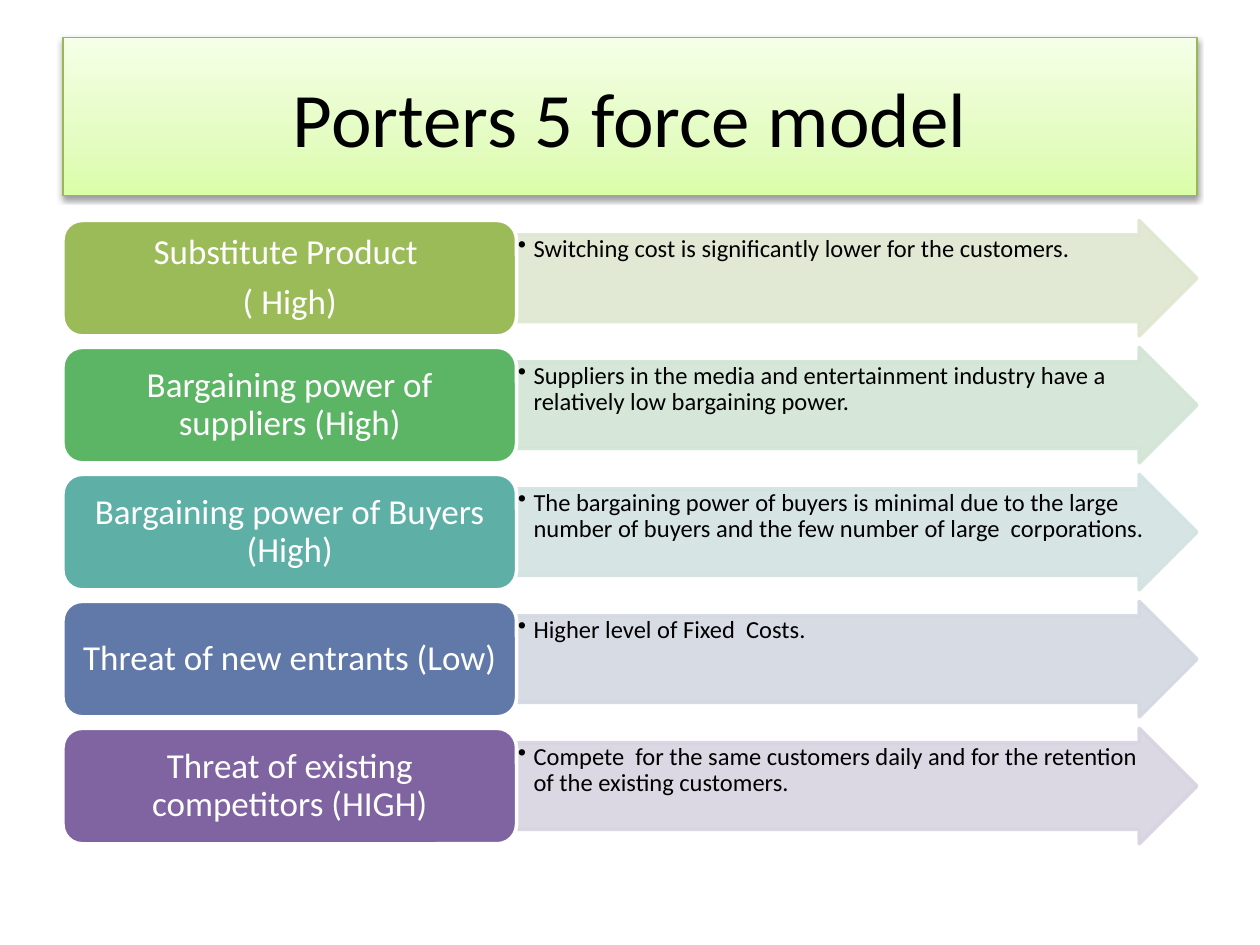
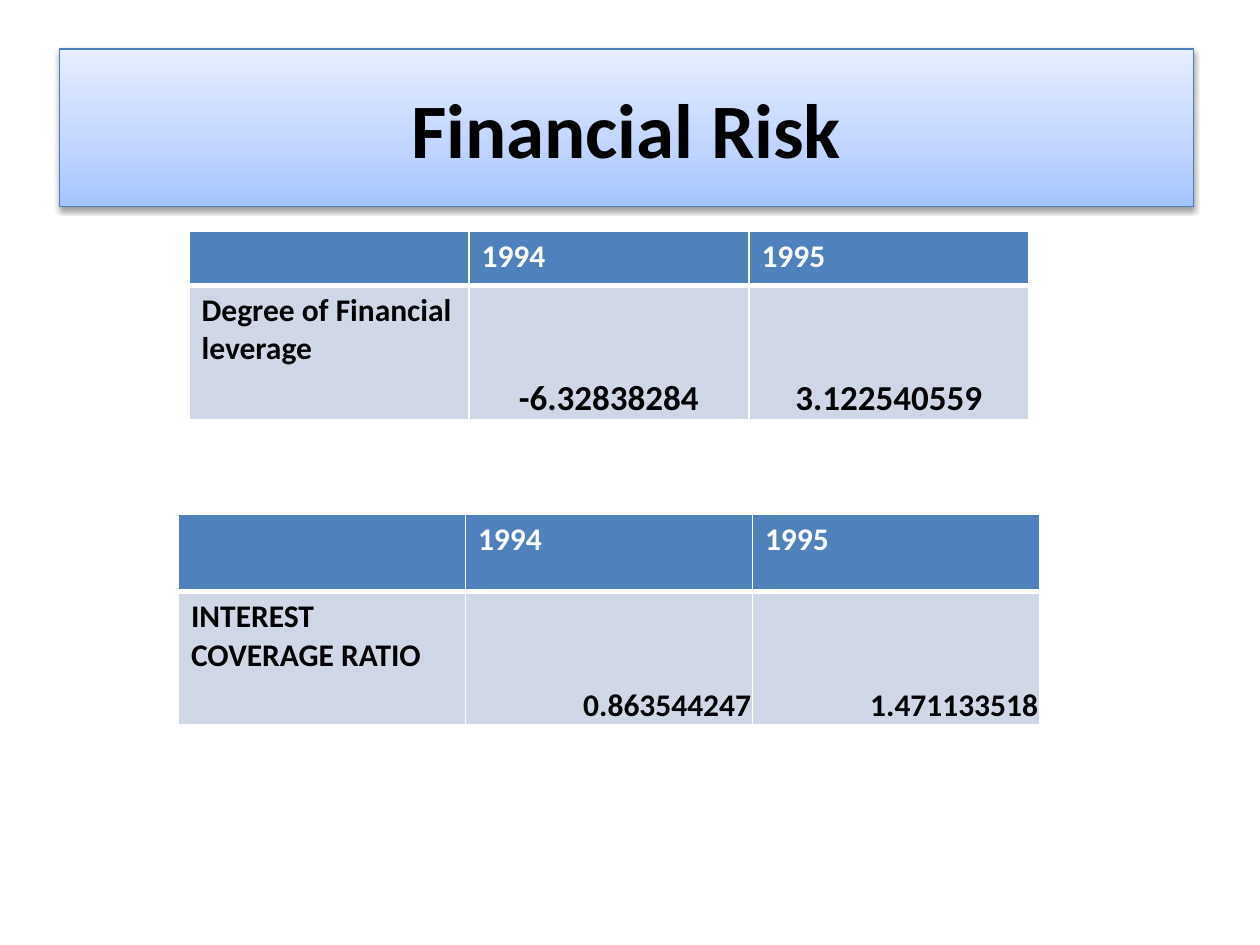
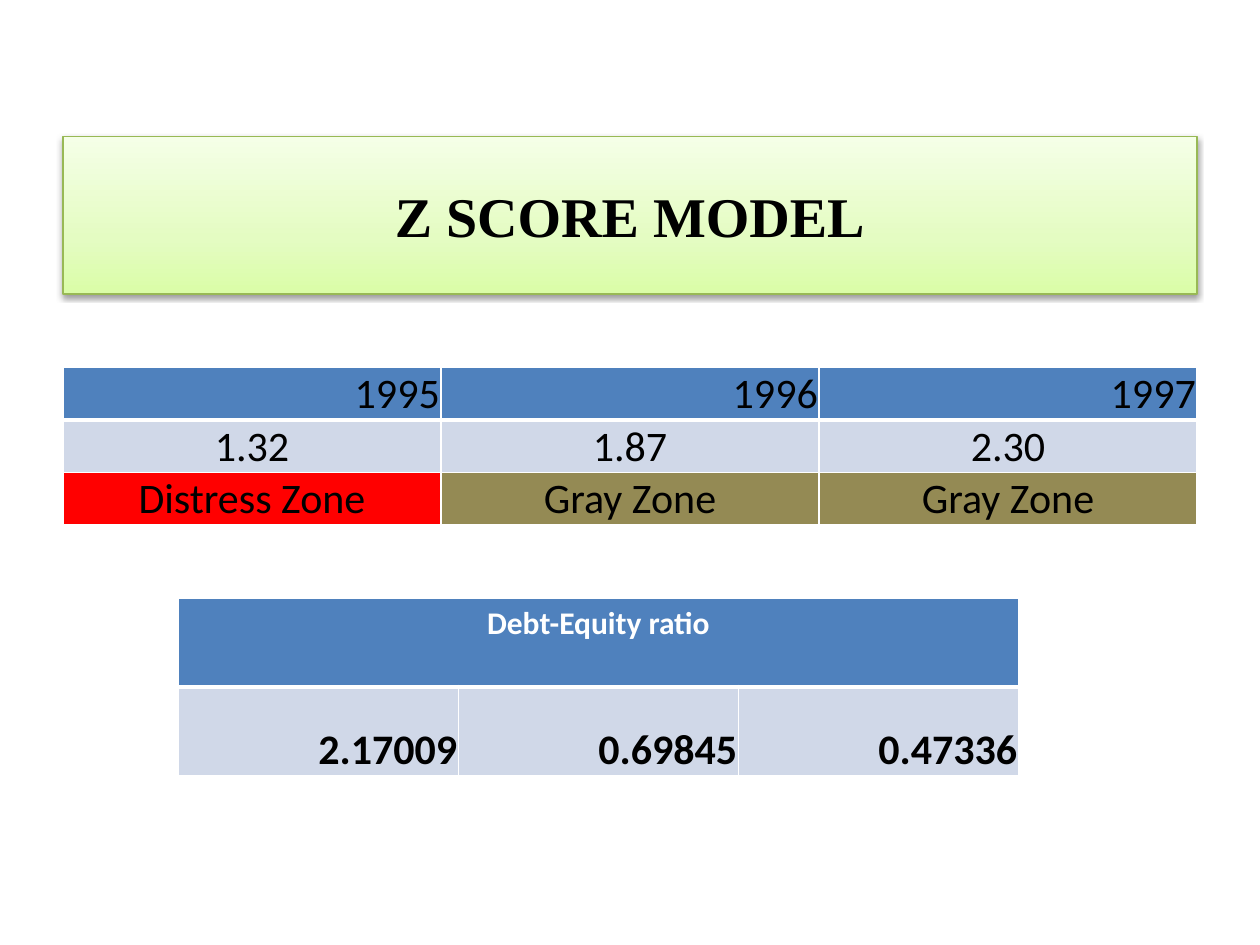
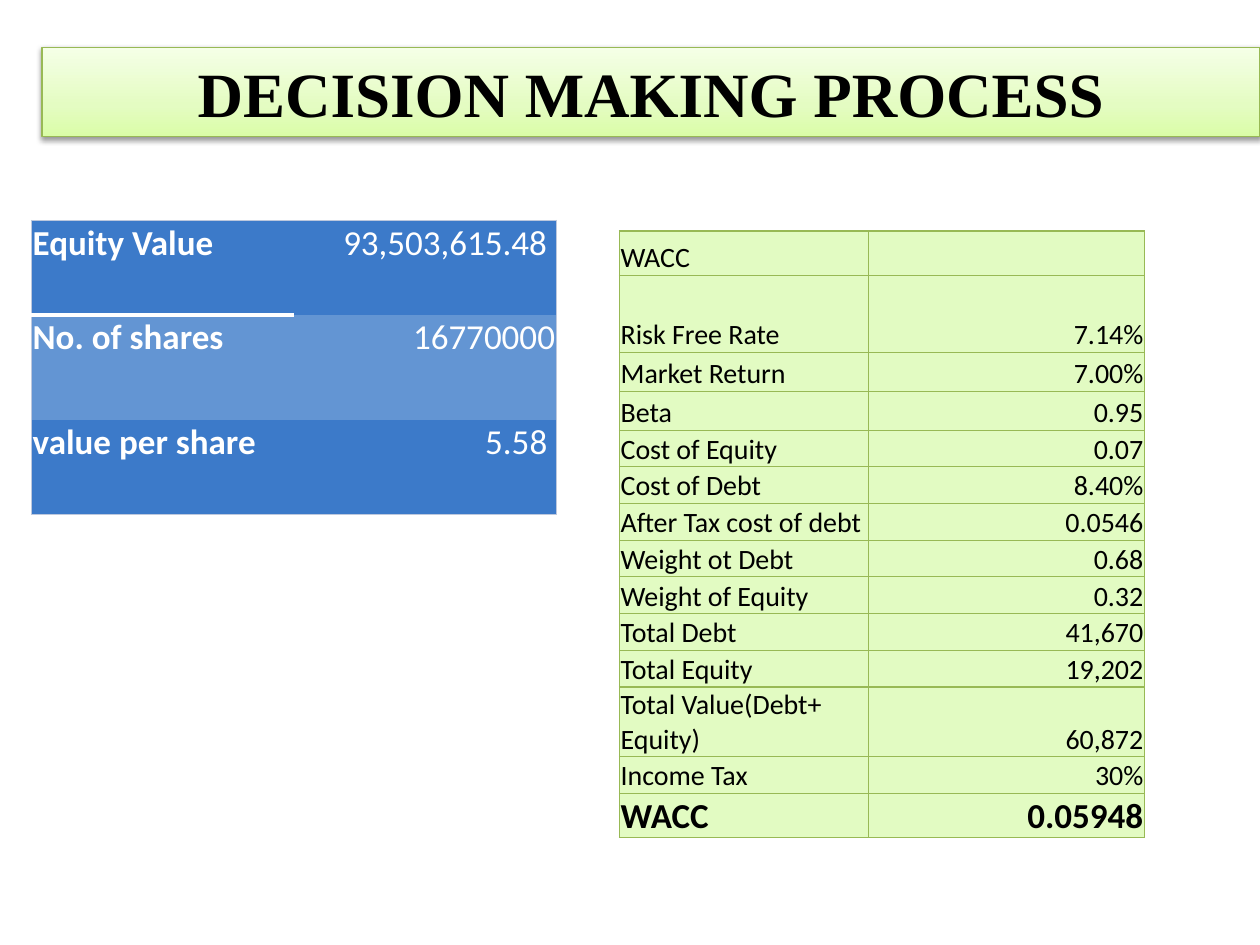
from dataclasses import dataclass, field

from lxml.etree import SubElement
from pptx import Presentation
from pptx.dml.color import RGBColor
from pptx.enum.shapes import MSO_SHAPE
from pptx.enum.text import MSO_ANCHOR, PP_ALIGN
from pptx.oxml import parse_xml
from pptx.oxml.ns import nsdecls, qn
from pptx.util import Pt

# Shared look
BODY_FONT, SERIF_FONT = "Calibri", "Times New Roman"
BLACK, WHITE = "000000", "FFFFFF"
HEADER_BLUE, ROW_BLUE = "4F81BD", "D0D8E8"
DEEP_BLUE, MID_BLUE, EDGE_BLUE = "3C7AC9", "6395D3", "BDC8DD"
PALE_GREEN, EDGE_GREEN = "E2FBC2", "98B955"
GREEN_BAND = (EDGE_GREEN, ("DAFDA7", "E4FCC2", "F5FFE7"))
BLUE_BAND = ("4B7EBC", ("A4C4FF", "BFD4FF", "E6EEFF"))
LEFT, CENTER, RIGHT = PP_ALIGN.LEFT, PP_ALIGN.CENTER, PP_ALIGN.RIGHT
TITLE_ONLY = 5


@dataclass
class Cell:
    text: str = ""
    size: float = 18
    color: str = BLACK
    bold: bool = False
    align: PP_ALIGN = LEFT
    anchor: MSO_ANCHOR = MSO_ANCHOR.TOP
    tight: bool = False
    fill: str = ROW_BLUE
    edges: dict = field(default_factory=dict)


def rgb(value):
    return RGBColor.from_string(value)


def add_run(paragraph, text, size, color, bold=False, font=BODY_FONT):
    run = paragraph.add_run()
    run.text = text
    run.font.name = font
    run.font.size = Pt(size)
    run.font.bold = bold
    run.font.color.rgb = rgb(color)


def set_insets(frame, left, top, right, bottom):
    frame.margin_left, frame.margin_top = Pt(left), Pt(top)
    frame.margin_right, frame.margin_bottom = Pt(right), Pt(bottom)


def place_band(slide, box, text, size, band, font=BODY_FONT, bold=True):
    """Title on a gradient band with a soft shadow."""
    edge, stops = band
    title = slide.shapes.title
    title.left, title.top, title.width, title.height = (Pt(v) for v in box)
    gradient = "".join(
        f'<a:gs pos="{pos}"><a:srgbClr val="{color}"/></a:gs>'
        for pos, color in zip((0, 35000, 100000), stops))
    properties = title.element.spPr
    properties.append(parse_xml(
        f'<a:gradFill {nsdecls("a")} rotWithShape="1"><a:gsLst>{gradient}</a:gsLst>'
        '<a:lin ang="16200000" scaled="0"/></a:gradFill>'))
    title.line.color.rgb = rgb(edge)
    title.line.width = Pt(0.75)
    properties.append(parse_xml(
        f'<a:effectLst {nsdecls("a")}><a:outerShdw blurRad="{Pt(3.1)}" dist="{Pt(1.6)}" '
        'dir="5400000" rotWithShape="0"><a:srgbClr val="000000"><a:alpha val="38000"/>'
        '</a:srgbClr></a:outerShdw></a:effectLst>'))
    title.text_frame.vertical_anchor = MSO_ANCHOR.MIDDLE
    paragraph = title.text_frame.paragraphs[0]
    paragraph.alignment = CENTER
    add_run(paragraph, text, size, BLACK, bold, font)


def add_block(slide, preset, box, fill, line):
    block = slide.shapes.add_shape(preset, *(Pt(v) for v in box))
    block.shadow.inherit = False
    block.fill.solid()
    block.fill.fore_color.rgb = rgb(fill)
    block.line.color.rgb = rgb(line)
    block.line.width = Pt(2)
    block.text_frame.word_wrap = True
    return block


def place_force(slide, box, color, tint, label_lines, remark):
    """One force: rounded label on the left, arrow with a remark on the right."""
    left, top, width, height = box
    label_width = width * 0.4

    # Arrow and remark
    arrow = add_block(slide, MSO_SHAPE.RIGHT_ARROW,
                      (left + label_width, top, width - label_width, height), tint, tint)
    arrow.adjustments[0], arrow.adjustments[1] = 0.75, 0.5
    for tone in arrow.element.spPr.iter(qn("a:srgbClr")):
        SubElement(tone, qn("a:alpha"), val="90000")
    arrow.text_frame.vertical_anchor = MSO_ANCHOR.TOP
    set_insets(arrow.text_frame, 0.7, 0.7, 0.7, 0.7)
    paragraph = arrow.text_frame.paragraphs[0]
    paragraph.alignment = LEFT
    paragraph.line_spacing, paragraph.space_after = 0.9, Pt(2)
    add_run(paragraph, remark, 14, BLACK)
    bullet = paragraph._p.get_or_add_pPr()
    bullet.set("marL", str(Pt(9)))
    bullet.set("indent", str(-Pt(9)))
    SubElement(bullet, qn("a:buChar"), char="•")

    # Label
    label = add_block(slide, MSO_SHAPE.ROUNDED_RECTANGLE,
                      (left, top, label_width, height), color, WHITE)
    frame = label.text_frame
    frame.vertical_anchor = MSO_ANCHOR.MIDDLE
    set_insets(frame, 6, 3, 6, 3)
    for index, line in enumerate(label_lines):
        paragraph = frame.add_paragraph() if index else frame.paragraphs[0]
        paragraph.alignment = CENTER
        paragraph.line_spacing, paragraph.space_after = 0.9, Pt(7)
        add_run(paragraph, line, 20, WHITE)


def draw_edges(cell, edges):
    """Sides without an entry get no line."""
    properties = cell._tc.get_or_add_tcPr()
    for side in "LRTB":
        color, width = edges.get(side, (None, 0))
        paint = (f'<a:solidFill><a:srgbClr val="{color}"/></a:solidFill>'
                 if color else "<a:noFill/>")
        properties.append(parse_xml(
            f'<a:ln{side} {nsdecls("a")} w="{Pt(width)}">{paint}</a:ln{side}>'))


def white_grid(row):
    """Thin white lines, with a thick one under the header row."""
    widths = {"L": 1, "R": 1, "T": 3 if row == 1 else 1, "B": 1 if row else 3}
    return {side: (WHITE, width) for side, width in widths.items()}


def place_table(slide, left, top, columns, heights, rows):
    frame = slide.shapes.add_table(len(heights), len(columns), Pt(left), Pt(top),
                                   Pt(sum(columns)), Pt(sum(heights)))
    table = frame.table
    table.first_row = table.horz_banding = False
    for column, width in zip(table.columns, columns):
        column.width = Pt(width)
    for r, (height, row) in enumerate(zip(heights, rows)):
        table.rows[r].height = Pt(height)
        for c, part in enumerate(row):
            cell = table.cell(r, c)
            draw_edges(cell, part.edges or white_grid(r))
            cell.fill.solid()
            cell.fill.fore_color.rgb = rgb(part.fill)
            cell.vertical_anchor = part.anchor
            if part.tight:
                set_insets(cell, 0.7, 0.7, 0.7, 0)
            paragraph = cell.text_frame.paragraphs[0]
            paragraph.alignment = part.align
            if part.text:
                add_run(paragraph, part.text, part.size, part.color, part.bold)
    return table


def header(text="", align=LEFT):
    return Cell(text, 18, WHITE, True, align, fill=HEADER_BLUE)


def figure(text, size, align=RIGHT, bold=False, fill=ROW_BLUE, edges=None):
    """Cell with its text on the bottom edge."""
    return Cell(text, size, BLACK, bold, align, MSO_ANCHOR.BOTTOM, True, fill, edges or {})


def place_ratio(slide, left, top, column, heights, label, values, size, align):
    """Ratio for two years under a blue header."""
    place_table(slide, left, top, [column] * 3, heights, [
        [header(), header("1994"), header("1995")],
        [Cell(label, bold=True)] + [figure(v, size, align, True) for v in values]])


def place_z_scores(slide, left, top):
    zones = [("1995", "1.32", "Distress Zone", "FF0000"),
             ("1996", "1.87", "Gray Zone", "948A54"),
             ("1997", "2.30", "Gray Zone", "948A54")]
    place_table(slide, left, top, [216] * 3, [29.5] * 3, [
        [figure(year, 24, fill=HEADER_BLUE) for year, *_ in zones],
        [figure(score, 24, CENTER) for _, score, *_ in zones],
        [figure(zone, 24, CENTER, fill=color) for *_, zone, color in zones]])


def place_debt_equity(slide, left, top):
    table = place_table(slide, left, top, [160] * 3, [50.5, 51], [
        [header("Debt-Equity ratio", CENTER), header(), header()],
        [figure(v, 24, bold=True) for v in ("2.17009", "0.69845", "0.47336")]])
    table.cell(0, 0).merge(table.cell(0, 2))


def place_share_value(slide, left, top):
    lines = [("Equity Value", "93,503,615.48 ", DEEP_BLUE),
             ("No. of shares ", "16770000", MID_BLUE),
             ("value per share", "5.58 ", DEEP_BLUE)]
    frame_line, rule = (EDGE_BLUE, 0.75), (WHITE, 3)
    rows = []
    for index, (name, value, fill) in enumerate(lines):
        outer = {}
        if index == 0:
            outer["T"] = frame_line
        if index == len(lines) - 1:
            outer["B"] = frame_line
        name_edges = {"L": frame_line, **outer}
        if index < 2:
            name_edges["T" if index else "B"] = rule
        rows.append([
            Cell(name, 20, WHITE, True, tight=True, fill=fill, edges=name_edges),
            Cell(value, 20, WHITE, False, RIGHT, tight=True, fill=fill,
                 edges={"R": frame_line, **outer})])
    place_table(slide, left, top, [150] * 2, [54, 60, 54], rows)


def place_wacc(slide, left, top):
    lines = [("WACC", ""), ("Risk Free Rate", "7.14%"), ("Market Return", "7.00%"),
             ("Beta", "0.95"), ("Cost of Equity", "0.07"), ("Cost of Debt", "8.40%"),
             ("After Tax cost of debt", "0.0546"), ("Weight ot Debt", "0.68"),
             ("Weight of Equity", "0.32"), ("Total Debt", "41,670"),
             ("Total Equity", "19,202"), ("Total Value(Debt+ Equity)", "60,872"),
             ("Income Tax", "30%"), ("WACC", "0.05948")]
    heights = [25.2, 44, 22.3, 22.3] + [21] * 7 + [39, 21, 24.5]
    edges = {side: (EDGE_GREEN, 0.75) for side in "LRTB"}
    rows = []
    for index, line in enumerate(lines):
        total = index == len(lines) - 1
        rows.append([figure(text, 20 if total else 16, align, total, PALE_GREEN, edges)
                     for text, align in zip(line, (LEFT, RIGHT))])
    place_table(slide, left, top, [142.5, 157.5], heights, rows)


def five_forces(slide):
    place_band(slide, (36, 21.6, 648, 90), "Porters 5 force model", 44, GREEN_BAND, bold=False)
    forces = [
        ("9BBB59", "DEE7D1", ["Substitute Product ", "( High)"],
         "Switching cost is significantly lower for the customers."),
        ("5CB565", "D2E5D5", ["Bargaining power of suppliers (High)"],
         "Suppliers in the media and entertainment industry have a relatively low "
         "bargaining power. "),
        ("5EAFA6", "D2E3E2", ["Bargaining power of Buyers (High)"],
         "The bargaining power of buyers is minimal due to the large number of buyers "
         "and the few number of large  corporations. "),
        ("6179A8", "D3D8E2", ["Threat of new entrants (Low)"],
         "Higher level of Fixed  Costs."),
        ("8064A2", "D8D3E0", ["Threat of existing competitors (HIGH)"],
         "Compete  for the same customers daily and for the retention of the existing "
         "customers.")]
    for index, force in enumerate(forces):
        place_force(slide, (36, 126 + index * 72.55, 648, 66), *force)


def financial_risk(slide):
    place_band(slide, (34, 28, 648, 90), "Financial Risk", 44, BLUE_BAND)
    place_ratio(slide, 108, 132, 160, [31, 77], "Degree of Financial leverage",
                ("-6.32838284", "3.122540559"), 20, CENTER)
    place_ratio(slide, 102, 294, 164, [44, 76], "INTEREST COVERAGE RATIO",
                ("0.863544247", "1.471133518"), 18, RIGHT)


def z_score_model(slide):
    place_band(slide, (36, 78, 648, 90), "Z SCORE MODEL", 32, GREEN_BAND, SERIF_FONT)
    place_z_scores(slide, 36, 210)
    place_debt_equity(slide, 102, 342)


def decision_making(slide):
    place_share_value(slide, 18, 126)
    place_band(slide, (24, 27, 696, 51), "DECISION MAKING PROCESS", 36, GREEN_BAND, SERIF_FONT)
    place_wacc(slide, 354, 132)


deck = Presentation()
deck.slide_width, deck.slide_height = Pt(720), Pt(540)
for build in (five_forces, financial_risk, z_score_model, decision_making):
    build(deck.slides.add_slide(deck.slide_layouts[TITLE_ONLY]))
deck.save("out.pptx")
